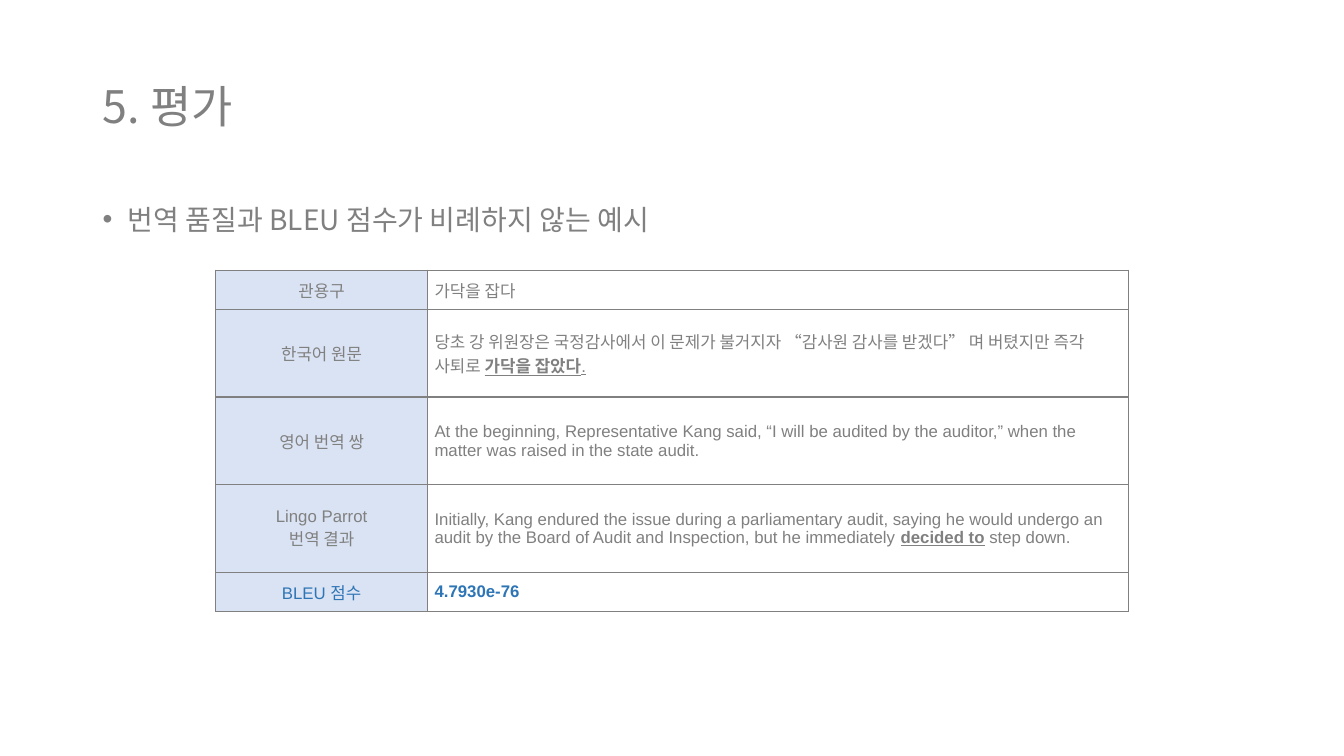
from pptx import Presentation
from pptx.dml.color import RGBColor
from pptx.enum.text import MSO_ANCHOR, PP_ALIGN
from pptx.oxml.ns import qn
from pptx.util import Inches, Pt
from lxml.etree import SubElement

COLORS = {"text": "808080", "label": "DAE3F3", "white": "FFFFFF", "score": "2E75B6"}
LATIN, KOREAN = "Arial", "Noto Sans CJK KR"

TITLE = "5. 평가"
BULLET = "번역 품질과 BLEU 점수가 비례하지 않는 예시"
BOLD, UNDERLINE = {"bold": True}, {"underline": True}
ROWS = [
    (0.39, "text", ["관용구"], [("가닥을 잡다", {})]),
    (0.87, "text", ["한국어 원문"], [
        ("당초 강 위원장은 국정감사에서 이 문제가 불거지자 “감사원 감사를 받겠다” 며 버텼지만 즉각 사퇴로 ", {}),
        ("가닥을 잡았다", BOLD | UNDERLINE),
        (".", UNDERLINE)]),
    (0.87, "text", ["영어 번역 쌍"], [
        ("At the beginning, Representative Kang said, “I will be audited by the auditor,” "
         "when the matter was raised in the state audit.", {})]),
    (0.87, "text", ["Lingo Parrot", "번역 결과"], [
        ("Initially, Kang endured the issue during a parliamentary audit, saying he would undergo "
         "an audit by the Board of Audit and Inspection, but he immediately ", {}),
        ("decided to", BOLD | UNDERLINE),
        (" step down.", {})]),
    (0.39, "score", ["BLEU 점수"], [("4.7930e-76", BOLD)]),
]
COLS = [2.1, 6.95]


def add_text(p, text, size=12, font=LATIN, color="text", bold=False, underline=False):
    r = p.add_run()
    r.text = text
    f = r.font
    f.size, f.name, f.bold, f.underline = Pt(size), font, bold, underline
    f.color.rgb = RGBColor.from_string(COLORS[color])
    SubElement(r._r.get_or_add_rPr(), qn("a:ea"), typeface=KOREAN)


def format_cell(cell, fill):
    cell.vertical_anchor = MSO_ANCHOR.MIDDLE
    cell.margin_left = cell.margin_right = Inches(0.07)
    cell.margin_top = cell.margin_bottom = 0
    tcPr = cell._tc.get_or_add_tcPr()
    for side in ("a:lnL", "a:lnR", "a:lnT", "a:lnB"):
        ln = SubElement(tcPr, qn(side), w=str(Pt(1)))
        SubElement(SubElement(ln, qn("a:solidFill")), qn("a:srgbClr"), val=COLORS["text"])
    cell.fill.solid()
    cell.fill.fore_color.rgb = RGBColor.from_string(COLORS[fill])


prs = Presentation()
prs.slide_width, prs.slide_height = Inches(13.33), Inches(7.5)
s = prs.slides.add_slide(prs.slide_layouts[5])

title = s.shapes.title
title.left, title.top, title.width, title.height = map(Inches, (0.92, 0.52, 11.5, 1.12))
title.text_frame.vertical_anchor = MSO_ANCHOR.MIDDLE
p = title.text_frame.paragraphs[0]
p.alignment, p.line_spacing = PP_ALIGN.LEFT, 0.9
add_text(p, TITLE, size=32, font=KOREAN)

sp = s.shapes.add_textbox(Inches(0.92), Inches(1.79), Inches(11.5), Inches(0.8))
sp.text_frame.word_wrap = True
p = sp.text_frame.paragraphs[0]
p.line_spacing, p.space_before = 1.5, Pt(10)
pPr = p._p.get_or_add_pPr()
pPr.set("marL", str(Inches(0.25)))
pPr.set("indent", str(-Inches(0.25)))
SubElement(pPr, qn("a:buFont"), typeface=LATIN)
SubElement(pPr, qn("a:buChar"), char="•")
add_text(p, BULLET, size=20, font=KOREAN)

table = s.shapes.add_table(len(ROWS), len(COLS), Inches(2.14), Inches(2.68),
                           Inches(sum(COLS)), Inches(sum(row[0] for row in ROWS))).table
table.first_row = table.horz_banding = False
for col, width in zip(table.columns, COLS):
    col.width = Inches(width)
for row, (height, color, label, runs) in zip(table.rows, ROWS):
    row.height = Inches(height)
    head, body = row.cells
    format_cell(head, "label")
    format_cell(body, "white")
    p = head.text_frame.paragraphs[0]
    p.alignment = PP_ALIGN.CENTER
    for i, line in enumerate(label):
        if i:
            p.add_line_break()
        add_text(p, line, color=color)
    for text, style in runs:
        add_text(body.text_frame.paragraphs[0], text, color=color, **style)

prs.save("out.pptx")
